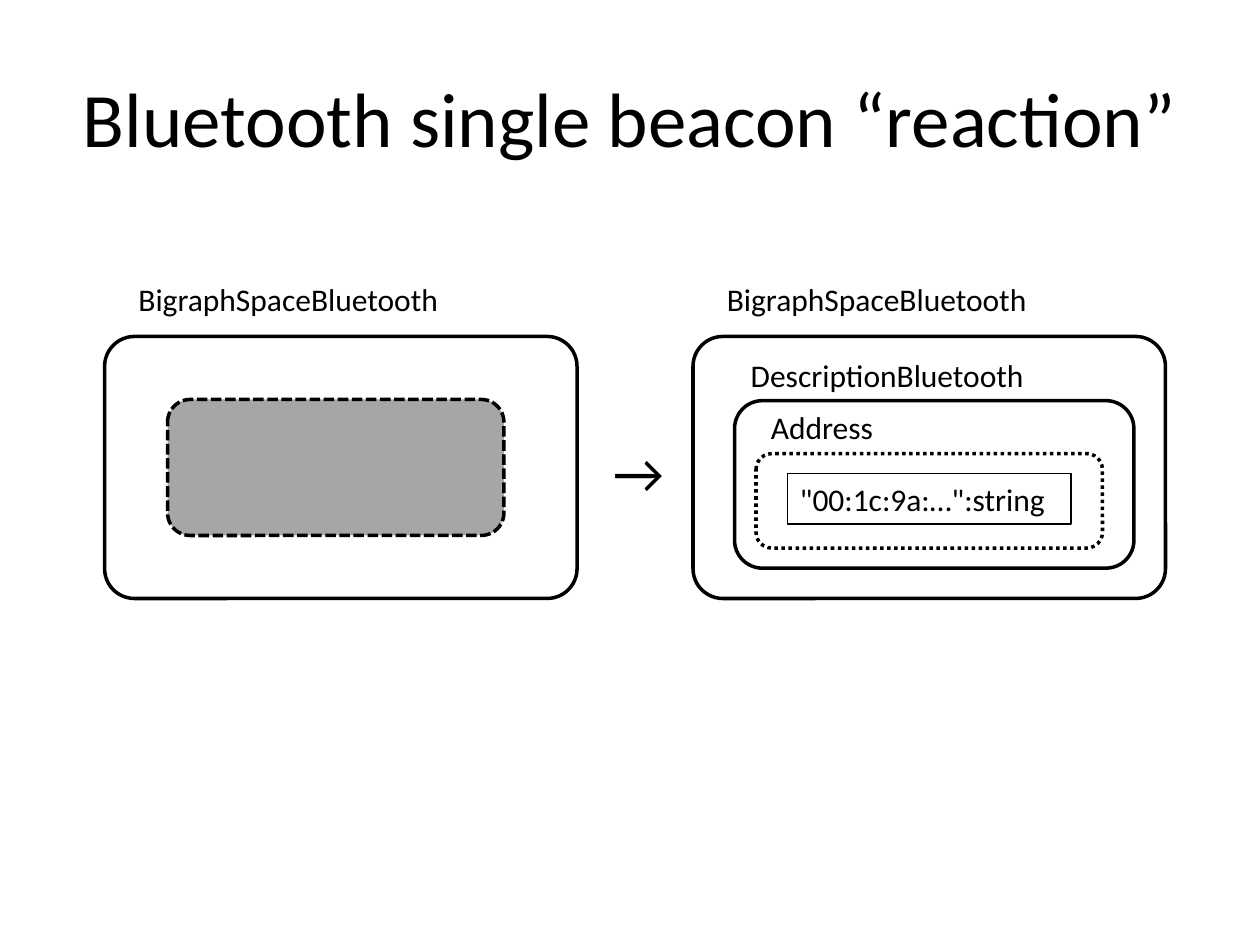
from dataclasses import dataclass
from typing import Optional

from pptx import Presentation
from pptx.dml.color import RGBColor
from pptx.enum.dml import MSO_LINE
from pptx.enum.shapes import MSO_SHAPE
from pptx.enum.text import MSO_ANCHOR, MSO_AUTO_SIZE, PP_ALIGN
from pptx.util import Inches, Pt

BLACK = RGBColor(0x00, 0x00, 0x00)
WHITE = RGBColor(0xFF, 0xFF, 0xFF)
GREY = RGBColor(0xA6, 0xA6, 0xA6)
FONT = "Calibri"
LABEL_HEIGHT = 0.4


@dataclass(frozen=True)
class Node:
    """A bigraph node; lengths are in inches, line width in points."""
    left: float
    top: float
    width: float
    height: float
    fill: Optional[RGBColor] = WHITE
    dash: Optional[MSO_LINE] = None
    corner: Optional[float] = 0.167
    line_width: float = 2


@dataclass(frozen=True)
class Label:
    """A single line of free text; lengths are in inches, size in points."""
    text: str
    left: float
    top: float
    width: float
    height: float = LABEL_HEIGHT
    size: int = 18


def style_text(frame, text: str, size: int, align=PP_ALIGN.LEFT) -> None:
    """Write one paragraph in the slide's font."""
    frame.text = text
    paragraph = frame.paragraphs[0]
    paragraph.alignment = align
    paragraph.font.name = FONT
    paragraph.font.size = Pt(size)
    paragraph.font.color.rgb = BLACK


def draw_node(slide, node: Node):
    """Draw a node, rounded unless it has no corner value."""
    kind = MSO_SHAPE.RECTANGLE if node.corner is None else MSO_SHAPE.ROUNDED_RECTANGLE
    box = slide.shapes.add_shape(kind, Inches(node.left), Inches(node.top),
                                 Inches(node.width), Inches(node.height))
    box.shadow.inherit = False
    if node.corner is not None:
        box.adjustments[0] = node.corner
    if node.fill is None:
        box.fill.background()
    else:
        box.fill.solid()
        box.fill.fore_color.rgb = node.fill
    box.line.color.rgb = BLACK
    box.line.width = Pt(node.line_width)
    if node.dash is not None:
        box.line.dash_style = node.dash
    return box


def draw_label(slide, label: Label) -> None:
    """Draw a label that stays on one line."""
    box = slide.shapes.add_textbox(Inches(label.left), Inches(label.top),
                                   Inches(label.width), Inches(label.height))
    box.text_frame.word_wrap = False
    box.text_frame.auto_size = MSO_AUTO_SIZE.SHAPE_TO_FIT_TEXT
    style_text(box.text_frame, label.text, label.size)


def draw_space(slide, left: float) -> None:
    """Draw one side of the reaction: the outer space and its label."""
    draw_node(slide, Node(left, 2.67, 3.75, 2.08, corner=0.114))
    draw_label(slide, Label("BigraphSpaceBluetooth", left + 0.17, 2.17, 2.61))


NODES = [
    Node(1.33, 3.17, 2.67, 1.08, fill=GREY, dash=MSO_LINE.DASH),
    Node(5.83, 3.18, 3.17, 1.33),
    Node(6, 3.6, 2.75, 0.75, dash=MSO_LINE.ROUND_DOT),
]
LABELS = [
    Label("DescriptionBluetooth", 5.86, 2.78, 2.39),
    Label("Address", 6.02, 3.19, 1.02),
    Label("→", 4.77, 3.42, 0.64, 0.64, 32),
]
ADDRESS_VALUE = Node(6.25, 3.76, 2.25, LABEL_HEIGHT, fill=None, corner=None,
                     line_width=0.75)

# MSO_LINE.SQUARE_DOT is the short dash "sysDash"; ROUND_DOT is "sysDot".
NODES[0] = Node(1.33, 3.17, 2.67, 1.08, fill=GREY, dash=MSO_LINE.SQUARE_DOT)


def main() -> None:
    """Build and save the slide."""
    presentation = Presentation()
    presentation.slide_width, presentation.slide_height = Inches(10), Inches(7.5)
    slide = presentation.slides.add_slide(presentation.slide_layouts[5])

    title = slide.shapes.title
    title.left, title.top = Inches(0.5), Inches(0.3)
    title.width, title.height = Inches(9), Inches(1.25)
    title.text_frame.vertical_anchor = MSO_ANCHOR.MIDDLE
    style_text(title.text_frame, "Bluetooth single beacon “reaction”", 44,
               PP_ALIGN.CENTER)

    for left in (0.83, 5.5):
        draw_space(slide, left)
    for node in NODES:
        draw_node(slide, node)
    for label in LABELS:
        draw_label(slide, label)

    address_value = draw_node(slide, ADDRESS_VALUE).text_frame
    address_value.word_wrap = True
    address_value.auto_size = MSO_AUTO_SIZE.SHAPE_TO_FIT_TEXT
    address_value.vertical_anchor = MSO_ANCHOR.TOP
    style_text(address_value, "\"00:1c:9a:…\":string", 18)

    presentation.save("out.pptx")


main()
